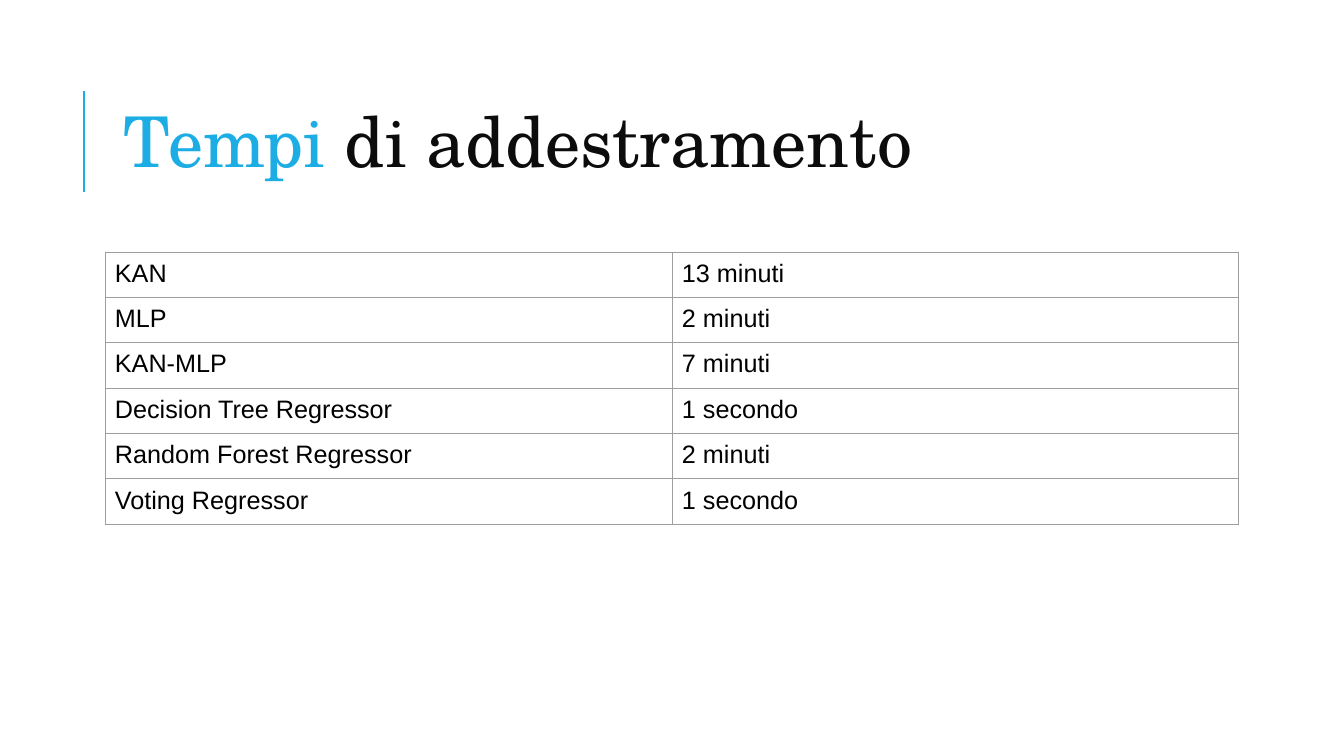
from lxml.etree import SubElement
from pptx import Presentation
from pptx.dml.color import RGBColor
from pptx.enum.shapes import MSO_CONNECTOR
from pptx.enum.text import MSO_ANCHOR, MSO_AUTO_SIZE, PP_ALIGN
from pptx.oxml.ns import qn
from pptx.util import Pt

EMU_PER_PX = 12192000 / 1344
ACCENT, INK, BLACK, GRID = "1CADE4", "0C0C0C", "000000", "9E9E9E"

TRAINING_TIMES = [
    ("KAN", "13 minuti"),
    ("MLP", "2 minuti"),
    ("KAN-MLP", "7 minuti"),
    ("Decision Tree Regressor", "1 secondo"),
    ("Random Forest Regressor", "2 minuti"),
    ("Voting Regressor", "1 secondo"),
]


def px(length):
    return round(length * EMU_PER_PX)


def color(hex_code):
    return RGBColor.from_string(hex_code)


def add_text(paragraph, text, *, font, size, ink, line_spacing, before=0, after=0):
    paragraph.alignment = PP_ALIGN.LEFT
    paragraph.line_spacing = line_spacing
    paragraph.space_before, paragraph.space_after = Pt(before), Pt(after)
    run = paragraph.add_run()
    run.text = text
    run.font.name, run.font.size = font, Pt(size)
    run.font.color.rgb = color(ink)


def set_borders(cell, hex_code, width):
    properties = cell._tc.get_or_add_tcPr()
    for position, side in enumerate(("a:lnL", "a:lnR", "a:lnT", "a:lnB")):
        border = SubElement(properties, qn(side), w=str(Pt(width)))
        fill = SubElement(border, qn("a:solidFill"))
        SubElement(fill, qn("a:srgbClr"), val=hex_code)
        properties.insert(position, border)  # borders precede the cell fill


def build_heading(slide, left, top, width, height):
    # Accent rule beside the title
    rule_x = left - 29
    rule = slide.shapes.add_connector(
        MSO_CONNECTOR.STRAIGHT,
        px(rule_x), px(top + 127), px(rule_x), px(top + 26))
    rule.line.color.rgb = color(ACCENT)
    rule.line.width = Pt(1.5)
    SubElement(rule._element.spPr, qn("a:effectLst"))

    # Two-colour title
    title = slide.shapes.title
    title.left, title.top = px(left), px(top)
    title.width, title.height = px(width), px(height)
    frame = title.text_frame
    frame.word_wrap = True
    frame.auto_size = MSO_AUTO_SIZE.NONE
    frame.vertical_anchor = MSO_ANCHOR.MIDDLE
    for text, ink in (("Tempi ", ACCENT), ("di addestramento", INK)):
        add_text(frame.paragraphs[0], text, font="TeX Gyre Schola", size=50,
                 ink=ink, line_spacing=0.8)


def build_times_table(slide, left, top, width, row_height):
    rows, columns = len(TRAINING_TIMES), len(TRAINING_TIMES[0])
    times = slide.shapes.add_table(
        rows, columns, px(left), px(top), px(width), px(rows * row_height)).table
    times.first_row = times.horz_banding = False
    for column in times.columns:
        column.width = px(width / columns)
    for row, entries in zip(times.rows, TRAINING_TIMES):
        row.height = px(row_height)
        for cell, entry in zip(row.cells, entries):
            cell.margin_left = cell.margin_right = px(10)
            cell.margin_top = cell.margin_bottom = px(10)
            cell.fill.background()
            set_borders(cell, GRID, 0.75)
            add_text(cell.text_frame.paragraphs[0], entry, font="Arial", size=18,
                     ink=BLACK, line_spacing=0.9, before=12, after=2)


def main():
    deck = Presentation()
    deck.slide_width, deck.slide_height = px(1344), px(756)
    slide = deck.slides.add_slide(deck.slide_layouts[5])
    build_heading(slide, 113, 65, 1072, 165)
    build_times_table(slide, 105, 252, 1134, 42)
    deck.save("out.pptx")


if __name__ == "__main__":
    main()
